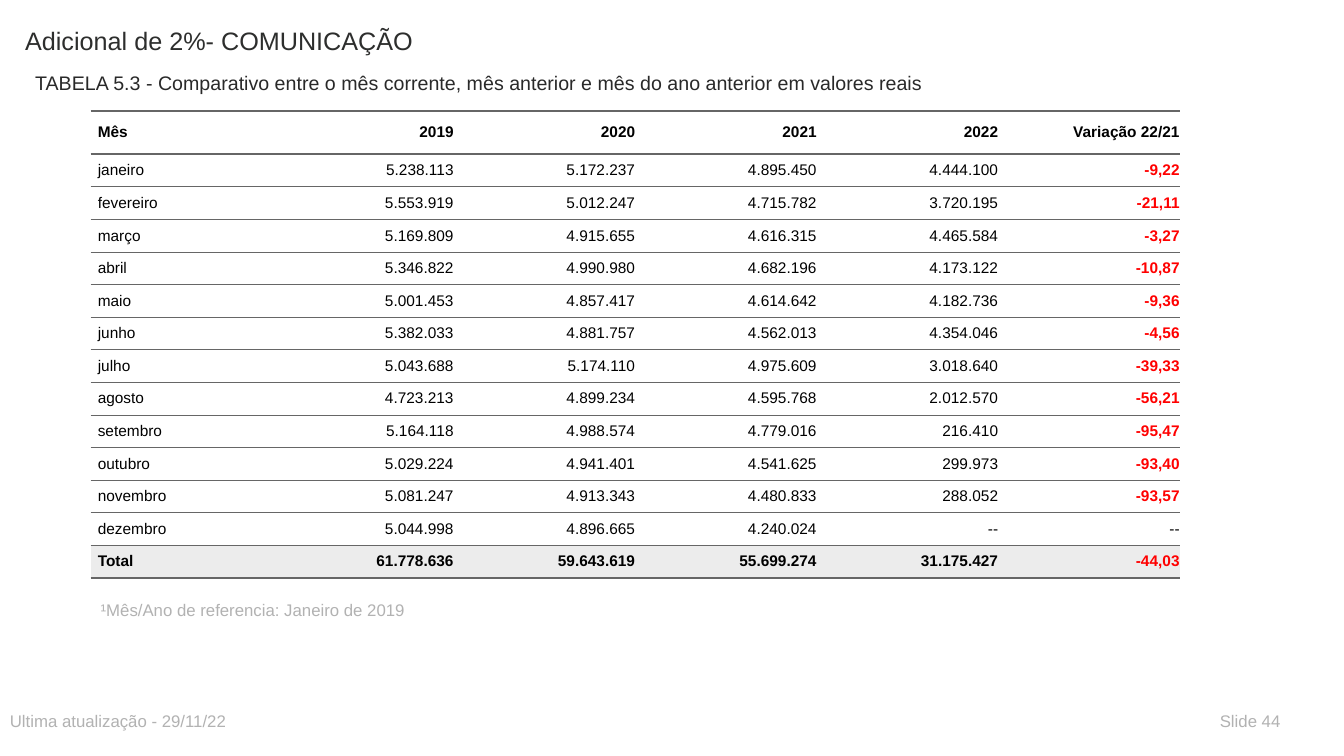
from dataclasses import dataclass

import pptx
import pptx.dml.color
import pptx.enum.text
import pptx.oxml
import pptx.oxml.ns
import pptx.util

Inches = pptx.util.Inches
Pt = pptx.util.Pt
RGB = pptx.dml.color.RGBColor
ALIGN = pptx.enum.text.PP_ALIGN
ANCHOR = pptx.enum.text.MSO_ANCHOR

FONT = "Arial"
TITLE = RGB(0x2D, 0x2E, 0x2D)
HEAD = RGB(0x29, 0x29, 0x29)
MUTED = RGB(0xB2, 0xB2, 0xB2)
BLACK = RGB(0, 0, 0)
RED = RGB(0xFF, 0, 0)
WHITE = RGB(0xFF, 0xFF, 0xFF)
SHADE = RGB(0xEC, 0xEC, 0xEC)
RULE = RGB(0x66, 0x66, 0x66)
PLAIN = "{2D5ABB26-0587-4C30-8999-92F81FD0307C}"  # table style without grid


@dataclass
class Label:
    text: str
    left: float
    top: float
    width: float
    height: float
    size: int
    color: RGB


LABELS = [
    Label("Adicional de 2%- COMUNICAÇÃO", 0.15, 0.2, 8, 0.59, 18, TITLE),
    Label("TABELA 5.3 - Comparativo entre o mês corrente, mês anterior e mês "
          "do ano anterior em valores reais", 0.25, 0.65, 10, 0.3, 14, HEAD),
    Label("¹Mês/Ano de referencia: Janeiro de 2019", 0.9, 5.9, 6.5, 0.3, 12, MUTED),
    Label("Ultima atualização - 29/11/22", 0, 7, 6.5, 0.3, 12, MUTED),
    Label("Slide 44", 12, 7, 0.9, 0.3, 12, MUTED),
]

ROWS = [
    ["Mês", "2019", "2020", "2021", "2022", "Variação 22/21"],
    ["janeiro", "5.238.113", "5.172.237", "4.895.450", "4.444.100", "-9,22"],
    ["fevereiro", "5.553.919", "5.012.247", "4.715.782", "3.720.195", "-21,11"],
    ["março", "5.169.809", "4.915.655", "4.616.315", "4.465.584", "-3,27"],
    ["abril", "5.346.822", "4.990.980", "4.682.196", "4.173.122", "-10,87"],
    ["maio", "5.001.453", "4.857.417", "4.614.642", "4.182.736", "-9,36"],
    ["junho", "5.382.033", "4.881.757", "4.562.013", "4.354.046", "-4,56"],
    ["julho", "5.043.688", "5.174.110", "4.975.609", "3.018.640", "-39,33"],
    ["agosto", "4.723.213", "4.899.234", "4.595.768", "2.012.570", "-56,21"],
    ["setembro", "5.164.118", "4.988.574", "4.779.016", "216.410", "-95,47"],
    ["outubro", "5.029.224", "4.941.401", "4.541.625", "299.973", "-93,40"],
    ["novembro", "5.081.247", "4.913.343", "4.480.833", "288.052", "-93,57"],
    ["dezembro", "5.044.998", "4.896.665", "4.240.024", "--", "--"],
    ["Total", "61.778.636", "59.643.619", "55.699.274", "31.175.427", "-44,03"],
]
LAST = len(ROWS) - 1
COL, TOP_ROW, ROW = 1.8, 0.43, 0.31


def apply(item: object, values: dict) -> None:
    for name, value in values.items():
        setattr(item, name, value)


def style(para, size: int, color: RGB, bold: bool = False) -> None:
    apply(para.font, {"name": FONT, "size": Pt(size), "bold": bold})
    para.font.color.rgb = color


def add_label(slide, label: Label) -> None:
    box = slide.shapes.add_textbox(Inches(label.left), Inches(label.top),
                                   Inches(label.width), Inches(label.height))
    frame = box.text_frame
    apply(frame, {"word_wrap": True, "text": label.text})
    style(frame.paragraphs[0], label.size, label.color)


def rule(tag: str, width: float):
    space = pptx.oxml.ns.nsdecls("a")
    return pptx.oxml.parse_xml(
        f'<a:{tag} {space} w="{Pt(width)}"><a:solidFill>'
        f'<a:srgbClr val="{RULE}"/></a:solidFill></a:{tag}>')


def fill_cell(cell, row: int, col: int) -> None:
    text = ROWS[row][col]
    apply(cell, {
        "text": text, "vertical_anchor": ANCHOR.MIDDLE,
        "margin_left": Inches(0.07), "margin_right": 0,
        "margin_top": Inches(0.07), "margin_bottom": Inches(0.07),
    })
    para = cell.text_frame.paragraphs[0]
    para.alignment = ALIGN.RIGHT if col else ALIGN.LEFT
    fall = text.startswith("-") and text != "--"
    style(para, 11, RED if fall else BLACK, fall or row in (0, LAST))
    cell.fill.solid()
    cell.fill.fore_color.rgb = SHADE if row == LAST else WHITE

    # Heavy rules frame the header and close the total
    props = cell._tc.get_or_add_tcPr()
    for spot, tag in enumerate(("lnT", "lnB")):
        heavy = row + spot in (0, 1, LAST + 1)
        props.insert(spot, rule(tag, 2 if heavy else 0.5))


def add_grid(slide) -> None:
    cols = len(ROWS[0])
    shape = slide.shapes.add_table(
        len(ROWS), cols, Inches(0.9), Inches(1.1),
        Inches(COL * cols), Inches(TOP_ROW + ROW * LAST))
    grid = shape.table
    apply(grid, {"first_row": False, "horz_banding": False})
    grid._tbl.tblPr.find(pptx.oxml.ns.qn("a:tableStyleId")).text = PLAIN
    for col in grid.columns:
        col.width = Inches(COL)
    for row, line in enumerate(grid.rows):
        line.height = Inches(ROW if row else TOP_ROW)
        for col, cell in enumerate(line.cells):
            fill_cell(cell, row, col)


def main() -> None:
    deck = pptx.Presentation()
    apply(deck, {"slide_width": Inches(13.33), "slide_height": Inches(7.5)})
    slide = deck.slides.add_slide(deck.slide_layouts[6])

    # Headings, note and footer
    for label in LABELS:
        add_label(slide, label)

    # Monthly comparison
    add_grid(slide)
    deck.save("out.pptx")


if __name__ == "__main__":
    main()
